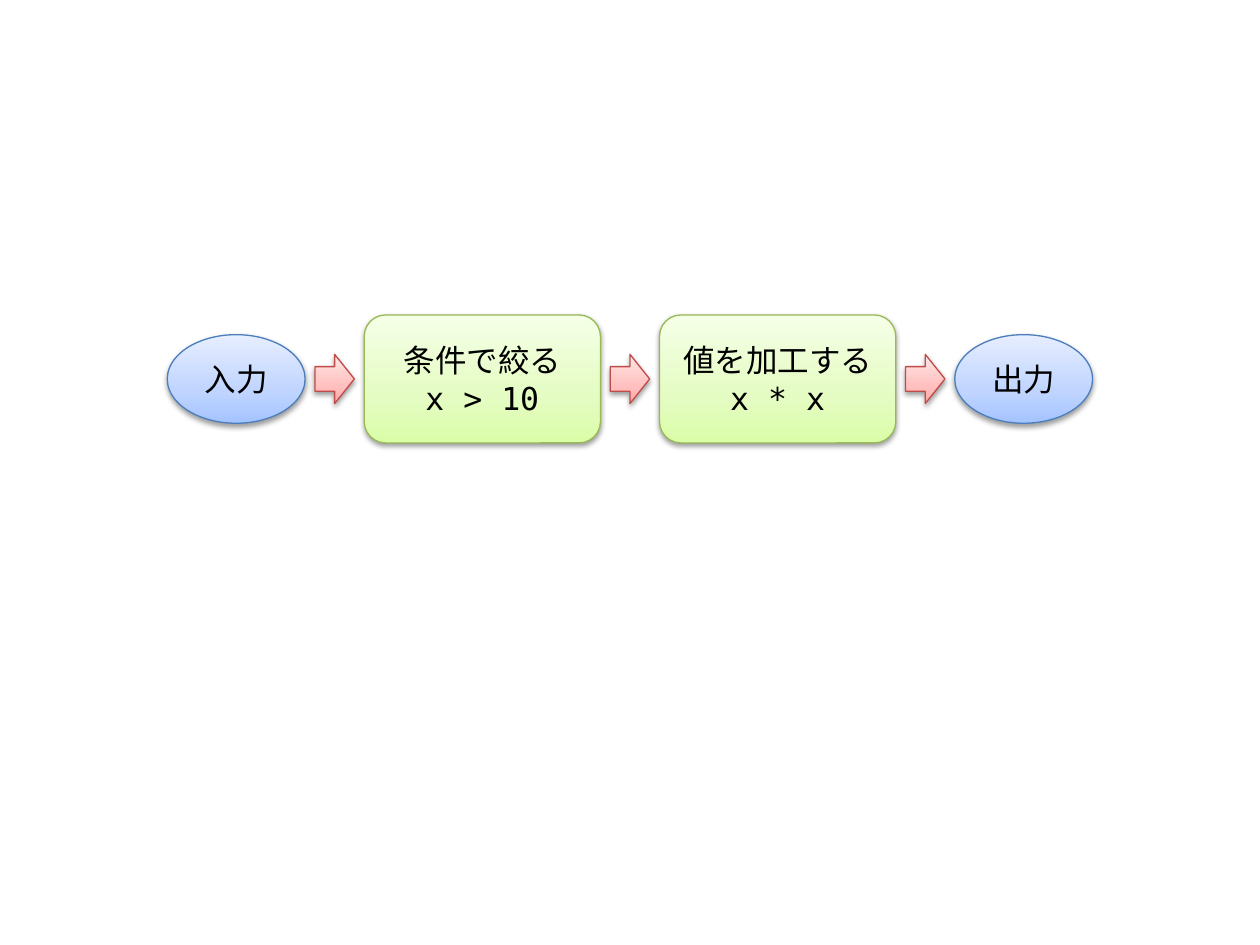
import pptx
import pptx.dml.color
import pptx.enum.shapes
import pptx.enum.text
import pptx.oxml
import pptx.oxml.ns
import pptx.util
from pptx.util import Inches

SHAPES = pptx.enum.shapes.MSO_SHAPE
JAPANESE = "Noto Sans CJK JP"
MONO = "DejaVu Sans Mono"
UNIT = 5 / 64
SLIDE_UNITS = 128
GAP = 1
MIDDLE = 38.5

STYLES = {
    "end": dict(kind=SHAPES.OVAL, size=(14, 9), line="4B7EBC",
                stops=((0, "A4C4FF"), (35, "BFD4FF"), (100, "E6EEFF"))),
    "step": dict(kind=SHAPES.ROUNDED_RECTANGLE, size=(24, 13), line="98B955",
                 stops=((0, "DAFDA7"), (35, "E4FCC2"), (100, "F5FFE7"))),
    "arrow": dict(kind=SHAPES.RIGHT_ARROW, size=(4, 5), line="BF4C48",
                  stops=((0, "FFA6A5"), (35, "FFC0BF"), (100, "FFE7E7"))),
}
FLOW = [
    ("end", [("入力", JAPANESE)]),
    ("arrow", []),
    ("step", [("条件で絞る", JAPANESE), ("x > 10", MONO)]),
    ("arrow", []),
    ("step", [("値を加工する", JAPANESE), ("x * x", MONO)]),
    ("arrow", []),
    ("end", [("出力", JAPANESE)]),
]
SHADOW = ('<a:outerShdw {ns} blurRad="{blur}" dist="{distance}" dir="5400000" rotWithShape="0">'
          '<a:srgbClr val="000000"><a:alpha val="38000"/></a:srgbClr></a:outerShdw>')
STOP = '<a:gs {ns} pos="{position}"><a:srgbClr val="{color}"/></a:gs>'


def rgb(value):
    return pptx.dml.color.RGBColor.from_string(value)


def element(template, **values):
    return pptx.oxml.parse_xml(template.format(ns=pptx.oxml.ns.nsdecls("a"), **values))


def paint(shape, style):
    shape.fill.gradient()
    shape.fill.gradient_angle = 90
    stop_list = shape._element.spPr.find(".//" + pptx.oxml.ns.qn("a:gsLst"))
    for stop in list(stop_list):
        stop_list.remove(stop)
    for percent, color in style["stops"]:
        stop_list.append(element(STOP, position=percent * 1000, color=color))
    shape.line.color.rgb = rgb(style["line"])
    shape.line.width = pptx.util.Pt(0.75)
    shape.shadow.inherit = False
    effects = shape._element.spPr.find(pptx.oxml.ns.qn("a:effectLst"))
    effects.append(element(SHADOW, blur=pptx.util.Pt(3.1), distance=pptx.util.Pt(1.6)))


def write(shape, lines):
    frame = shape.text_frame
    frame.vertical_anchor = pptx.enum.text.MSO_ANCHOR.MIDDLE
    for index, (text, font) in enumerate(lines):
        para = frame.add_paragraph() if index else frame.paragraphs[0]
        para.alignment = pptx.enum.text.PP_ALIGN.CENTER
        span = para.add_run()
        span.text = text
        for name, value in dict(size=pptx.util.Pt(18), name=font).items():
            setattr(span.font, name, value)
        span.font.color.rgb = rgb("000000")
        east_asian = element('<a:ea {ns} typeface="{font}"/>', font=font)
        span._r.rPr.find(pptx.oxml.ns.qn("a:latin")).addnext(east_asian)


def main():
    deck = pptx.Presentation()
    deck.slide_width, deck.slide_height = Inches(10), Inches(7.5)
    page = deck.slides.add_slide(deck.slide_layouts[6])
    total = sum(STYLES[role]["size"][0] for role, lines in FLOW) + GAP * (len(FLOW) - 1)
    left = (SLIDE_UNITS - total) / 2
    for role, lines in FLOW:
        style = STYLES[role]
        width, height = style["size"]
        place = (left, MIDDLE - height / 2, width, height)
        shape = page.shapes.add_shape(style["kind"], *(Inches(part * UNIT) for part in place))
        paint(shape, style)
        write(shape, lines)
        left += width + GAP
    deck.save("out.pptx")


if __name__ == "__main__":
    main()
